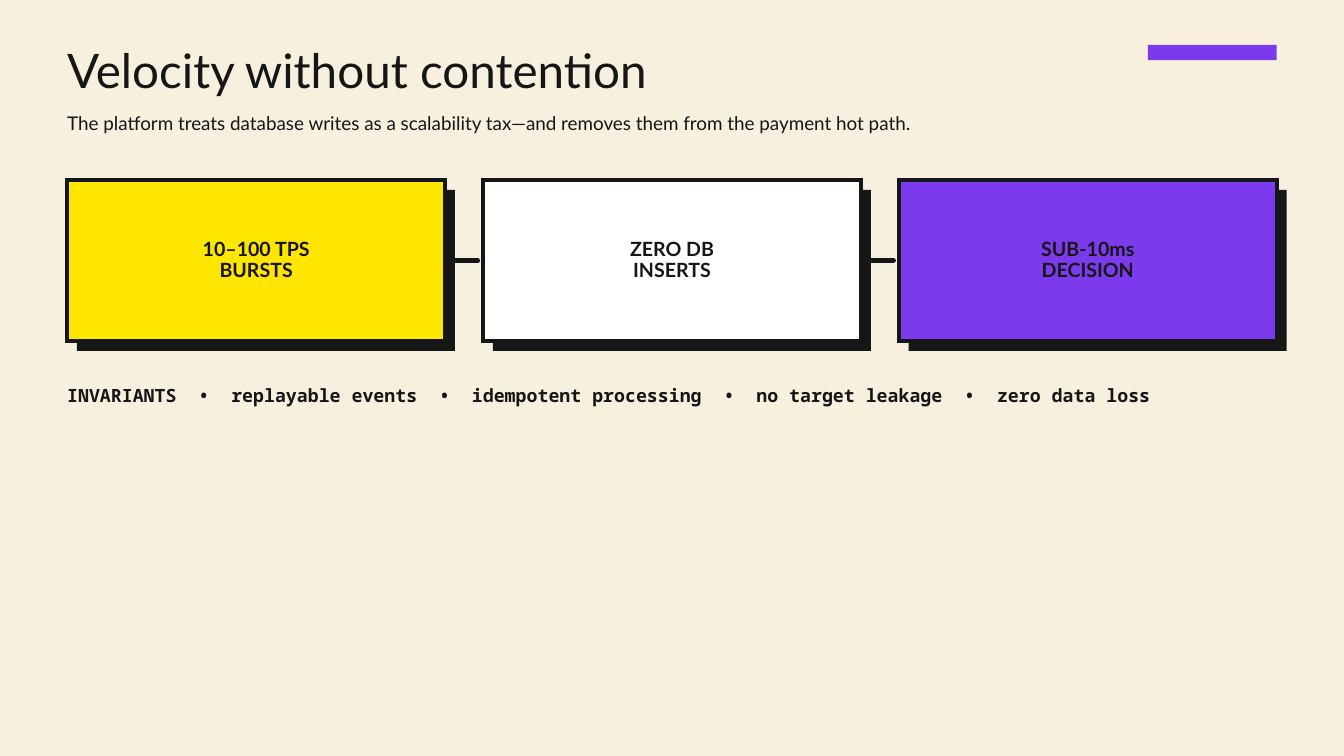
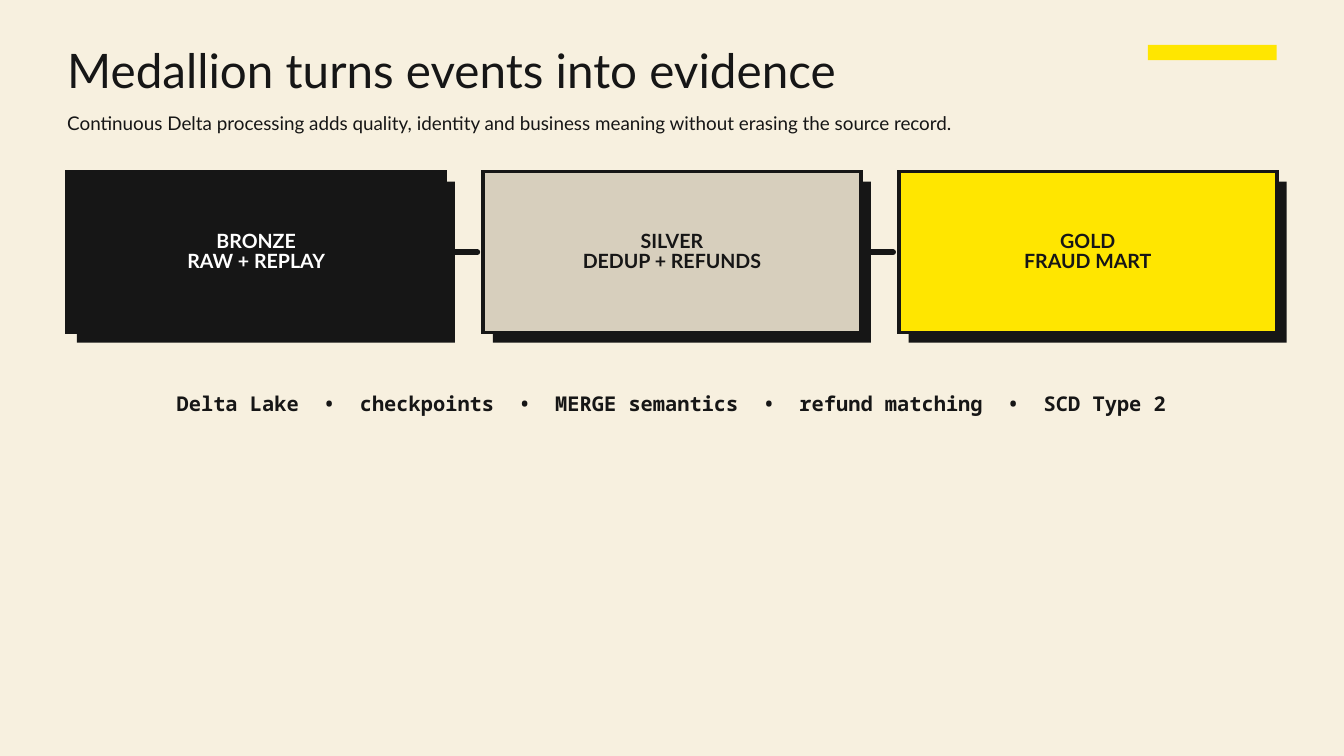
from lxml import etree
from pptx import Presentation
from pptx.dml.color import RGBColor
from pptx.enum.shapes import MSO_CONNECTOR, MSO_SHAPE
from pptx.enum.text import MSO_ANCHOR, MSO_AUTO_SIZE, PP_ALIGN
from pptx.oxml.ns import qn
from pptx.util import Pt

LEFT, CENTER = PP_ALIGN.LEFT, PP_ALIGN.CENTER
TOP, MIDDLE = MSO_ANCHOR.TOP, MSO_ANCHOR.MIDDLE
NO_AUTOSIZE = MSO_AUTO_SIZE.NONE
RECT = MSO_SHAPE.RECTANGLE
STRAIGHT = MSO_CONNECTOR.STRAIGHT

COLORS = {
    "cream": "F7F0DF",
    "ink": "161616",
    "white": "FFFFFF",
    "yellow": "FFE600",
    "violet": "7C3AED",
    "silver": "D7CFBD",
}
SANS, MONO = "Lato", "Noto Sans Mono"
MARGIN = 72
CARD_W, CARD_H, CARD_GAP = 405, 172.5, 40.5
SHADOW = 10.5
SEPARATOR = "  •  "


def rgb(name):
    return RGBColor.from_string(COLORS[name])


class Deck:
    def __init__(self):
        self.prs = Presentation()
        self.prs.slide_width, self.prs.slide_height = Pt(1440), Pt(810)
        fill = self.prs.slide_master.background.fill
        fill.solid()
        fill.fore_color.rgb = rgb("cream")
        self.s = None

    def set_text(self, shape, lines, size, leading, font=SANS, color="ink",
                 bold=False, align=LEFT, anchor=TOP, inset=0):
        tf = shape.text_frame
        tf.text = "\n".join(lines)
        tf.word_wrap = True
        tf.auto_size = NO_AUTOSIZE
        tf.vertical_anchor = anchor
        tf.margin_left = tf.margin_right = Pt(inset)
        tf.margin_top = tf.margin_bottom = Pt(inset)
        for p in tf.paragraphs:
            p.alignment = align
            p.line_spacing = Pt(leading)
            p.space_before = Pt(0)
            for r in p.runs:
                r.font.name, r.font.size, r.font.bold = font, Pt(size), bold
                r.font.color.rgb = rgb(color)

    def place(self, shape, x, y, w, h):
        shape.left, shape.top, shape.width, shape.height = Pt(x), Pt(y), Pt(w), Pt(h)

    def slide(self, title, subtitle, accent):
        self.s = self.prs.slides.add_slide(self.prs.slide_layouts[1])
        head, body = self.s.placeholders
        self.place(head, MARGIN, 53.5, 1125, 55)
        self.set_text(head, [title], 51, 52)
        self.place(body, MARGIN, 118, 1125, 29)
        self.set_text(body, [subtitle], 20.2, 26.3)
        pPr = body.text_frame.paragraphs[0]._p.get_or_add_pPr()
        pPr.set("marL", "0")
        pPr.set("indent", "0")
        etree.SubElement(pPr, qn("a:buNone"))
        self.rect(1230, 48, 138, 16.5, accent)

    def rect(self, x, y, w, h, fill, outline=None):
        shape = self.s.shapes.add_shape(RECT, Pt(x), Pt(y), Pt(w), Pt(h))
        shape.shadow.inherit = False
        shape.fill.solid()
        shape.fill.fore_color.rgb = rgb(fill)
        if outline:
            shape.line.color.rgb = rgb("ink")
            shape.line.width = Pt(outline)
            ln = shape._element.spPr.find(qn("a:ln"))
            etree.SubElement(ln, qn("a:miter"), lim="800000")
        else:
            shape.line.fill.background()
        return shape

    def link(self, x1, x2, y):
        line = self.s.shapes.add_connector(STRAIGHT, Pt(x1), Pt(y), Pt(x2), Pt(y))
        line.line.color.rgb = rgb("ink")
        line.line.width = Pt(6)
        spPr = line._element.spPr
        spPr.find(qn("a:ln")).set("cap", "rnd")
        etree.SubElement(spPr, qn("a:effectLst"))

    def cards(self, y, cards):
        for i, (lines, fill, color) in enumerate(cards):
            x = MARGIN + i * (CARD_W + CARD_GAP)
            if i:
                self.link(x - CARD_GAP + 6, x - 6, y + CARD_H / 2)
            self.rect(x + SHADOW, y + SHADOW, CARD_W, CARD_H, "ink")
            card = self.rect(x, y, CARD_W, CARD_H, fill, 3.75)
            self.set_text(card, lines, 21, 22.1, color=color, bold=True,
                          align=CENTER, anchor=MIDDLE, inset=4.5)

    def terms(self, y, h, terms, size, leading, align=LEFT):
        box = self.s.shapes.add_textbox(Pt(MARGIN), Pt(y), Pt(1296), Pt(h))
        self.set_text(box, [SEPARATOR.join(terms)], size, leading, MONO,
                      bold=True, align=align)


def main():
    deck = Deck()

    deck.slide("Velocity without contention",
               "The platform treats database writes as a scalability tax—and "
               "removes them from the payment hot path.", "violet")
    deck.cards(193, [
        (["10–100 TPS", "BURSTS"], "yellow", "ink"),
        (["ZERO DB", "INSERTS"], "white", "ink"),
        (["SUB-10ms", "DECISION"], "violet", "ink"),
    ])
    deck.terms(407.5, 26, ["INVARIANTS", "replayable events", "idempotent processing",
                           "no target leakage", "zero data loss"], 19.5, 27.3)

    deck.slide("Medallion turns events into evidence",
               "Continuous Delta processing adds quality, identity and business "
               "meaning without erasing the source record.", "yellow")
    deck.cards(184, [
        (["BRONZE", "RAW + REPLAY"], "ink", "white"),
        (["SILVER", "DEDUP + REFUNDS"], "silver", "ink"),
        (["GOLD", "FRAUD MART"], "yellow", "ink"),
    ])
    deck.terms(414.5, 29.5, ["Delta Lake", "checkpoints", "MERGE semantics",
                             "refund matching", "SCD Type 2"], 21.8, 30.4, CENTER)

    deck.prs.save("out.pptx")


if __name__ == "__main__":
    main()
